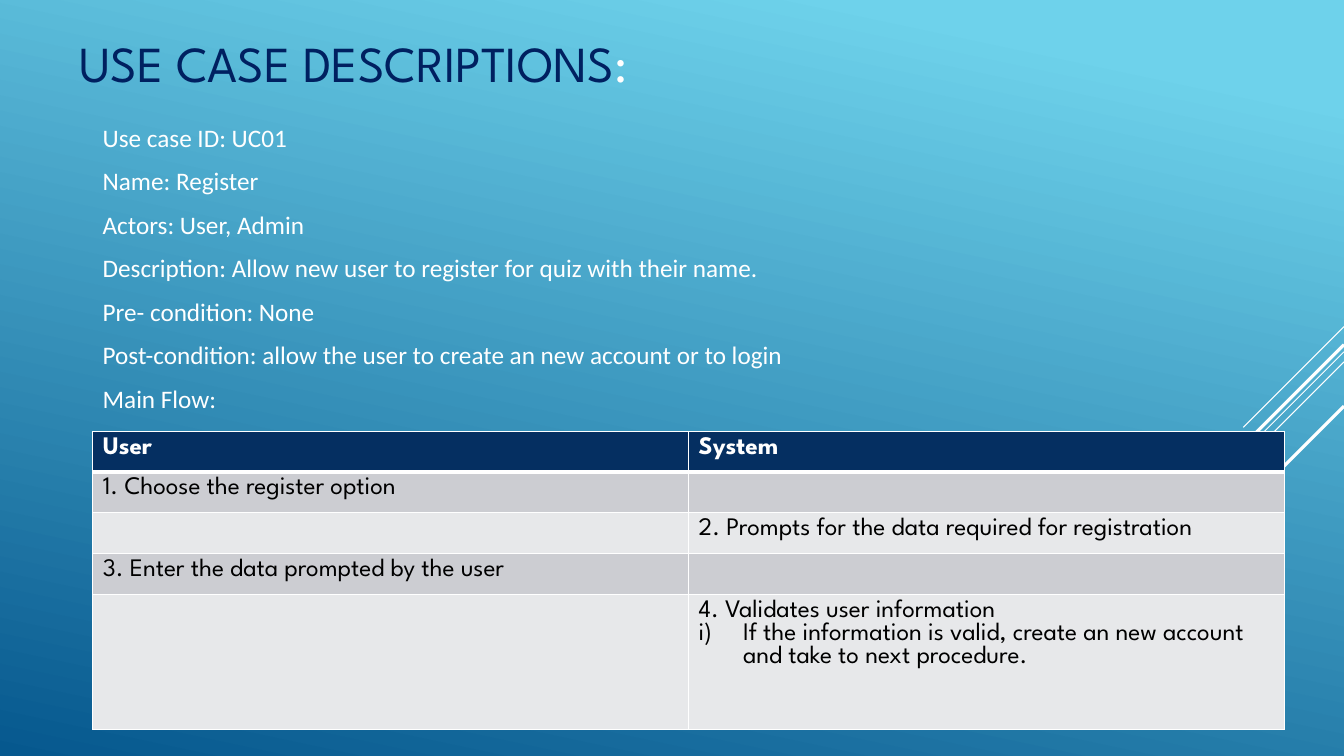
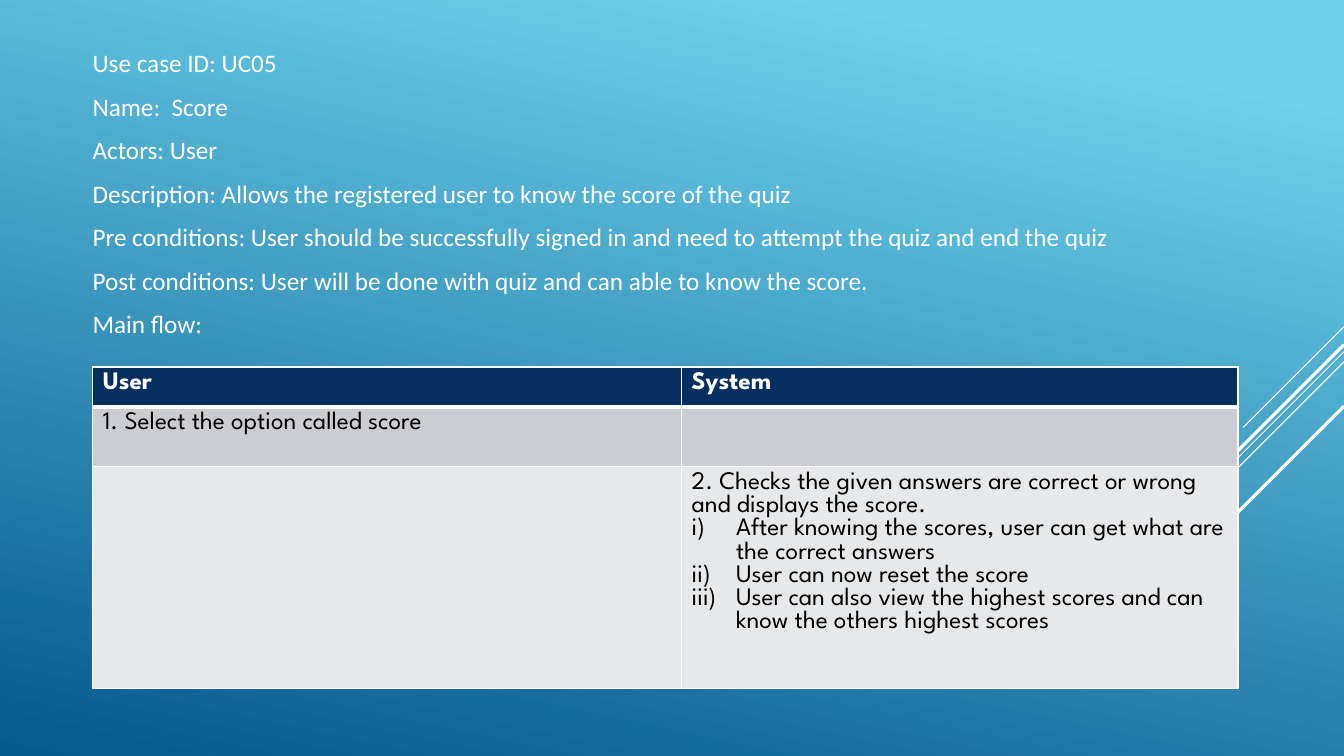
from pptx import Presentation
from pptx import util as u
from pptx.dml.color import RGBColor
from pptx.enum import shapes, text
from pptx.oxml.ns import qn
from lxml import etree

COLORS = {
    "sky": "6ED2EB", "deep": "06588E", "title": "002060", "white": "FFFFFF",
    "black": "000000", "head": "052F61", "odd": "CCCDD2", "even": "E7E8EA",
}
HEAD_FONT, BODY_FONT = "League Spartan", "Calibri"
SIZE = 18

# Diagonal accents: start height on the right edge, run to the left, line width
RAYS = [(3.24, 1.0, 0.75), (3.49, 3.26, 0.75), (3.59, 2.07, 0.75),
        (3.42, 1.91, 2.25), (4.03, 1.39, 2.25)]


def color(name):
    return RGBColor.from_string(COLORS[name])


def style(run, font, size, tint, bold=False):
    run.font.name = font
    run.font.size = u.Pt(size)
    run.font.bold = bold
    run.font.color.rgb = color(tint)


def set_theme(prs):
    """Give the master the shared gradient background."""
    fill = prs.slide_master.background.fill
    fill.gradient()
    fill.gradient_angle = 360 - 102
    for stop, (pos, tint) in zip(fill.gradient_stops, [(0.1, "sky"), (1, "deep")]):
        stop.position = pos
        stop.color.rgb = color(tint)


def add_rays(slide, edge=13.33):
    for top, run, width in RAYS:
        ray = slide.shapes.add_connector(
            shapes.MSO_CONNECTOR.STRAIGHT, u.Inches(edge), u.Inches(top),
            u.Inches(edge - run), u.Inches(top + run))
        ray.line.color.rgb = color("white")
        ray.line.width = u.Pt(width)
        etree.SubElement(ray._element.spPr, qn("a:effectLst"))


def new_slide(prs, layout):
    slide = prs.slides.add_slide(prs.slide_layouts[layout])
    add_rays(slide)
    return slide


def set_title(slide, parts):
    title = slide.shapes.title
    title.left, title.top = u.Inches(0.69), u.Inches(0.2)
    title.width, title.height = u.Inches(11.5), u.Inches(0.84)
    frame = title.text_frame
    frame.vertical_anchor = text.MSO_ANCHOR.MIDDLE
    para = frame.paragraphs[0]
    para.alignment = text.PP_ALIGN.LEFT
    for words, tint in parts:
        run = para.add_run()
        run.text = words
        style(run, HEAD_FONT, 36, tint)


def add_facts(slide, box, lines):
    frame = slide.shapes.add_textbox(*map(u.Inches, box)).text_frame
    frame.word_wrap = True
    frame.auto_size = text.MSO_AUTO_SIZE.SHAPE_TO_FIT_TEXT
    frame.text = "\n".join(lines)
    for para in frame.paragraphs:
        para.line_spacing = 1.07
        para.space_after = u.Pt(8)
        style(para.runs[0], BODY_FONT, SIZE, "white")


def set_edges(cell, row):
    """Draw white borders, with a thick rule under the header row."""
    widths = {"lnL": 1, "lnR": 1, "lnT": 3 if row == 1 else 1,
              "lnB": 3 if row == 0 else 1}
    props = cell._tc.get_or_add_tcPr()
    for spot, (tag, width) in enumerate(widths.items()):
        edge = etree.Element(qn("a:" + tag), w=str(u.Pt(width)))
        solid = etree.SubElement(edge, qn("a:solidFill"))
        etree.SubElement(solid, qn("a:srgbClr"), val=COLORS["white"])
        props.insert(spot, edge)


def set_roman(para):
    props = para._p.get_or_add_pPr()
    props.set("marL", str(u.Inches(0.44)))
    props.set("indent", str(-u.Inches(0.44)))
    etree.SubElement(props, qn("a:buAutoNum"), type="romanLcParenR")


def fill_cell(cell, row, words):
    """Fill one cell; lines after the first become a roman list."""
    head = row == 0
    cell.fill.solid()
    cell.fill.fore_color.rgb = color("head" if head else "odd" if row % 2 else "even")
    set_edges(cell, row)
    cell.text_frame.text = words
    for spot, para in enumerate(cell.text_frame.paragraphs):
        if spot:
            set_roman(para)
        para.font.size = u.Pt(SIZE)
        for run in para.runs:
            style(run, HEAD_FONT, SIZE, "white" if head else "black", head)


def add_flow(slide, left, top, cols, rows, steps):
    """Add the User / System table of a use case."""
    cells = [("User", "System")] + steps
    table = slide.shapes.add_table(
        len(rows), len(cols), u.Inches(left), u.Inches(top),
        u.Inches(sum(cols)), u.Inches(sum(rows))).table
    for col, width in zip(table.columns, cols):
        col.width = u.Inches(width)
    for row, height in zip(table.rows, rows):
        row.height = u.Inches(height)
    for r, pair in enumerate(cells):
        for c, words in enumerate(pair):
            fill_cell(table.cell(r, c), r, words)


def add_register(prs):
    slide = new_slide(prs, 5)
    set_title(slide, [("USE CASE DESCRIPTIONS", "title"), (":", "white")])
    add_flow(slide, 0.92, 4.28, [5.91] * 2, [0.4] * 4 + [1.34], [
        ("1. Choose the register option", ""),
        ("", "2. Prompts for the data required for registration"),
        ("3. Enter the data prompted by the user", ""),
        ("", "4. Validates user information\n"
             "If the information is valid, create an new account "
             "and take to next procedure."),
    ])
    add_facts(slide, (0.92, 1.14, 9.56, 3.46), [
        "Use case ID: UC01",
        "Name: Register",
        "Actors: User, Admin",
        "Description: Allow new user to register for quiz with their name.",
        "Pre- condition: None",
        "Post-condition: allow the user to create an new account or to login",
        "Main Flow:",
    ])


def add_score(prs):
    slide = new_slide(prs, 6)
    add_facts(slide, (0.82, 0.4, 11.96, 3.03), [
        "Use case ID: UC05",
        "Name:  Score",
        "Actors: User",
        "Description: Allows the registered user to know the score of the quiz",
        "Pre conditions: User should be successfully signed in and need to "
        "attempt the quiz and end the quiz",
        "Post conditions: User will be done with quiz and can able to know the score.",
        "Main flow:",
    ])
    add_flow(slide, 0.92, 3.64, [5.84, 5.52], [0.4, 0.59, 2.2], [
        ("1. Select the option called score", ""),
        ("", "2. Checks the given answers are correct or wrong "
             "and displays the score.\n"
             "After knowing the scores, user can get what are the correct answers\n"
             "User can now reset the score\n"
             "User can also view the highest scores and can know "
             "the others highest scores"),
    ])


def main():
    prs = Presentation()
    prs.slide_width, prs.slide_height = u.Inches(13.33), u.Inches(7.5)
    set_theme(prs)
    add_register(prs)
    add_score(prs)
    prs.save("out.pptx")


if __name__ == "__main__":
    main()
